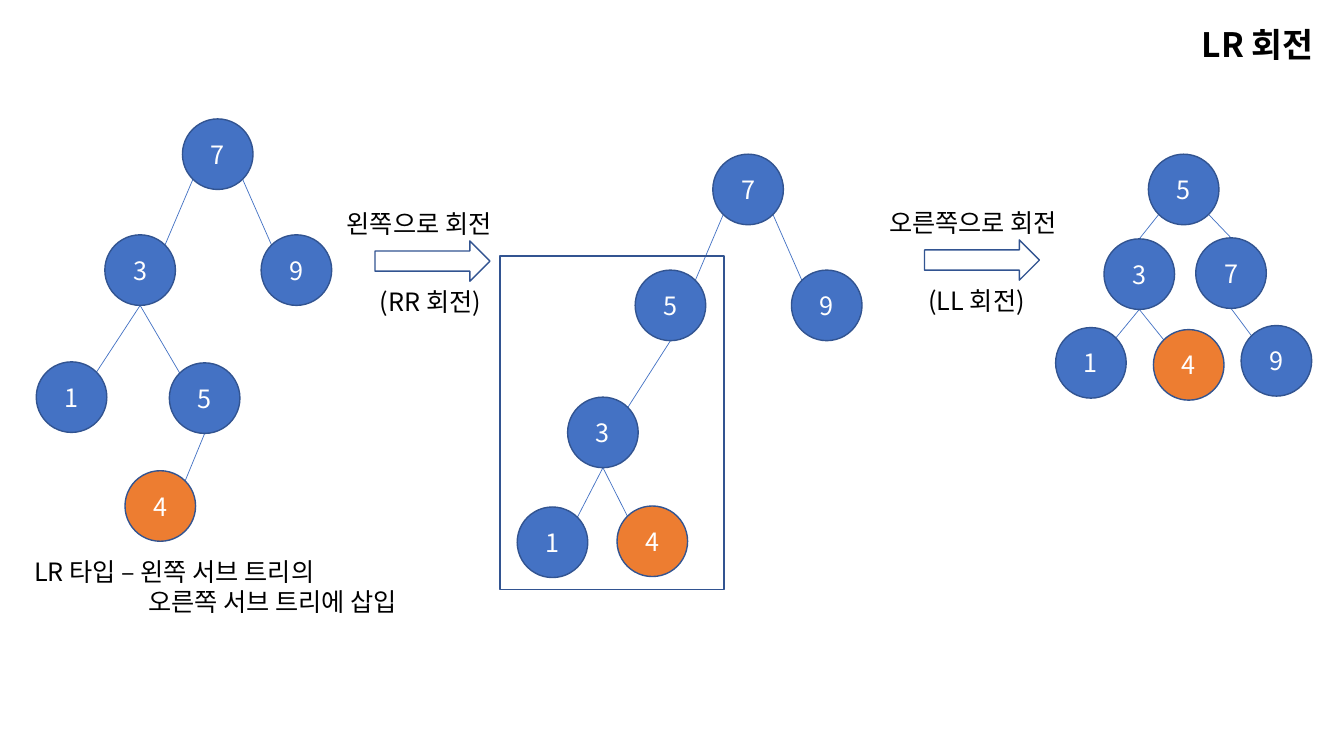
from lxml.etree import SubElement
from pptx import Presentation
from pptx.dml.color import RGBColor
from pptx.enum.shapes import MSO_CONNECTOR as Connector, MSO_SHAPE as Shape
from pptx.enum.text import MSO_ANCHOR as Anchor, PP_ALIGN as Align
from pptx.oxml.ns import qn
from pptx.util import Inches, Pt

FONT = "Noto Sans CJK KR"
BLUE, ORANGE, OUTLINE = "4472C4", "ED7D31", "325491"
BLACK, WHITE = "000000", "FFFFFF"
NODE_SIZE = 0.7
SITES = {
    "top": (0.5, 0), "bottom": (0.5, 1),
    "top left": (0.15, 0.15), "top right": (0.85, 0.15),
    "bottom left": (0.15, 0.85), "bottom right": (0.85, 0.85),
}
NEW_KEY = "4"

UNBALANCED_TREE = (
    {"7": (1.81, 1.18), "3": (1.04, 2.33), "9": (2.59, 2.33),
     "1": (0.36, 3.59), "5": (1.68, 3.6), "4": (1.24, 4.67)},
    [("7", "bottom left", "3", "top right"),
     ("7", "bottom right", "9", "top left"),
     ("3", "bottom", "1", "top right"),
     ("3", "bottom", "5", "top left"),
     ("5", "bottom", "4", "top right")],
)
LEFT_ROTATED_TREE = (
    {"7": (7.07, 1.53), "5": (6.3, 2.68), "9": (7.85, 2.68),
     "3": (5.63, 3.94), "1": (5.13, 5.03), "4": (6.12, 5.02)},
    [("7", "bottom left", "5", "top right"),
     ("7", "bottom right", "9", "top left"),
     ("5", "bottom", "3", "top right"),
     ("3", "bottom", "1", "top right"),
     ("3", "bottom", "4", "top left")],
)
BALANCED_TREE = (
    {"5": (11.39, 1.53), "3": (10.95, 2.37), "7": (11.86, 2.36),
     "1": (10.47, 3.25), "4": (11.44, 3.27), "9": (12.31, 3.23)},
    [("5", "bottom left", "3", "top"),
     ("5", "bottom right", "7", "top"),
     ("3", "bottom", "1", "top right"),
     ("3", "bottom", "4", "top left"),
     ("7", "bottom", "9", "top left")],
)
ROTATIONS = [
    ((3.72, 2.39, 1.14, 0.4), "왼쪽으로 회전", (3.34, 2.02, 1.81, 0.4),
     "(RR 회전)", (3.67, 2.79, 1.26, 0.4)),
    ((9.17, 2.38, 1.14, 0.4), "오른쪽으로 회전", (8.72, 2.01, 2.06, 0.4),
     "(LL 회전)", (9.11, 2.78, 1.19, 0.4)),
]


def rgb(color):
    return RGBColor.from_string(color)


def set_all(target, values):
    for name, value in values.items():
        setattr(target, name, value)


def write(frame, lines, color=BLACK, size=18, bold=False,
          align=Align.LEFT, anchor=Anchor.TOP):
    set_all(frame, {"text": "\n".join(lines), "word_wrap": True,
                    "vertical_anchor": anchor})
    for paragraph in frame.paragraphs:
        set_all(paragraph, {"alignment": align, "line_spacing": 1.0,
                            "space_before": Pt(0)})
        for run in paragraph.runs:
            set_all(run.font, {"name": FONT, "size": Pt(size), "bold": bold})
            run.font.color.rgb = rgb(color)
            SubElement(run.font._element, qn("a:ea"), typeface=FONT)


def add_title(slide, text):
    title = slide.shapes.title
    set_all(title, {"left": Inches(9.38), "top": Inches(0.19),
                    "width": Inches(3.75), "height": Inches(0.5)})
    write(title.text_frame, [text], size=24, bold=True, align=Align.RIGHT)


def add_label(slide, box, *lines):
    label = slide.shapes.add_textbox(*map(Inches, box))
    write(label.text_frame, lines)
    return label


def add_outlined(slide, kind, box, fill=None):
    outlined = slide.shapes.add_shape(kind, *map(Inches, box))
    outlined.shadow.inherit = False
    if fill:
        outlined.fill.solid()
        outlined.fill.fore_color.rgb = rgb(fill)
    else:
        outlined.fill.background()
    outlined.line.color.rgb = rgb(OUTLINE)
    outlined.line.width = Pt(1)
    return outlined


def add_node(slide, key, corner):
    fill = ORANGE if key == NEW_KEY else BLUE
    node = add_outlined(slide, Shape.OVAL, (*corner, NODE_SIZE, NODE_SIZE), fill)
    write(node.text_frame, [key], WHITE, align=Align.CENTER, anchor=Anchor.MIDDLE)


def site_point(corner, site):
    return [Inches(start + NODE_SIZE * share)
            for start, share in zip(corner, SITES[site])]


def add_edge(slide, start, end):
    edge = slide.shapes.add_connector(Connector.STRAIGHT, *start, *end)
    edge.line.color.rgb = rgb(BLUE)
    edge.line.width = Pt(0.5)
    SubElement(edge._element.spPr, qn("a:effectLst"))


def add_tree(slide, nodes, edges):
    for parent, parent_site, child, child_site in edges:
        add_edge(slide, site_point(nodes[parent], parent_site),
                 site_point(nodes[child], child_site))
    for key, corner in nodes.items():
        add_node(slide, key, corner)


def add_rotation(slide, arrow_box, direction, direction_box, name, name_box):
    add_outlined(slide, Shape.RIGHT_ARROW, arrow_box)
    add_label(slide, direction_box, direction)
    add_label(slide, name_box, name)


def add_caption(slide):
    caption = add_label(slide, (0.24, 5.47, 4.27, 0.71),
                        "LR 타입 – 왼쪽 서브 트리의", "오른쪽 서브 트리에 삽입")
    continuation = caption.text_frame.paragraphs[1]
    continuation._p.get_or_add_pPr().set("marL", str(Inches(1.13)))


def main():
    deck = Presentation()
    set_all(deck, {"slide_width": Inches(13.33), "slide_height": Inches(7.5)})
    slide = deck.slides.add_slide(deck.slide_layouts[5])
    add_title(slide, "LR 회전")
    for rotation in ROTATIONS:
        add_rotation(slide, *rotation)
    for tree in (UNBALANCED_TREE, LEFT_ROTATED_TREE, BALANCED_TREE):
        add_tree(slide, *tree)
    add_caption(slide)
    add_outlined(slide, Shape.RECTANGLE, (4.96, 2.54, 2.22, 3.31))
    deck.save("out.pptx")


main()
